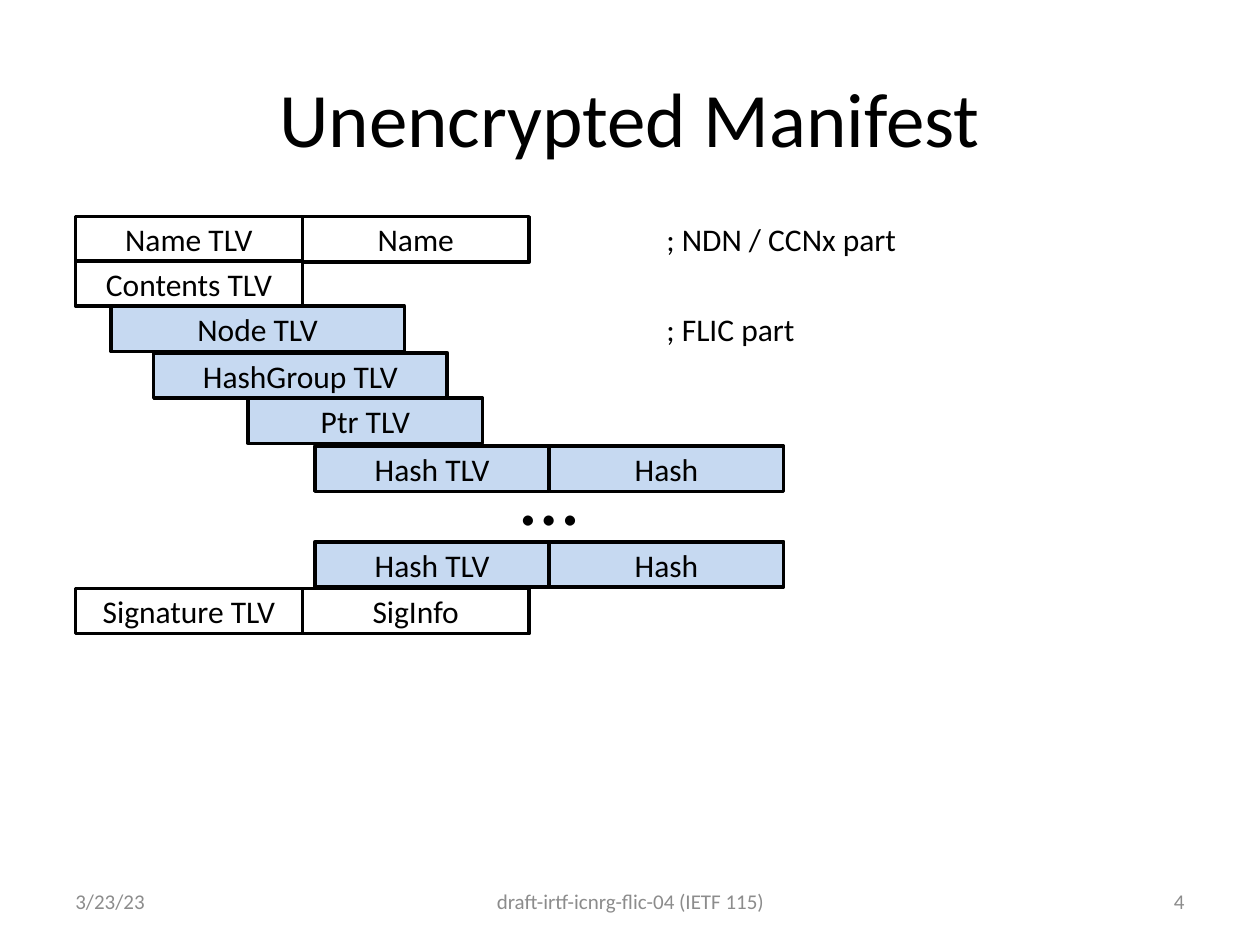
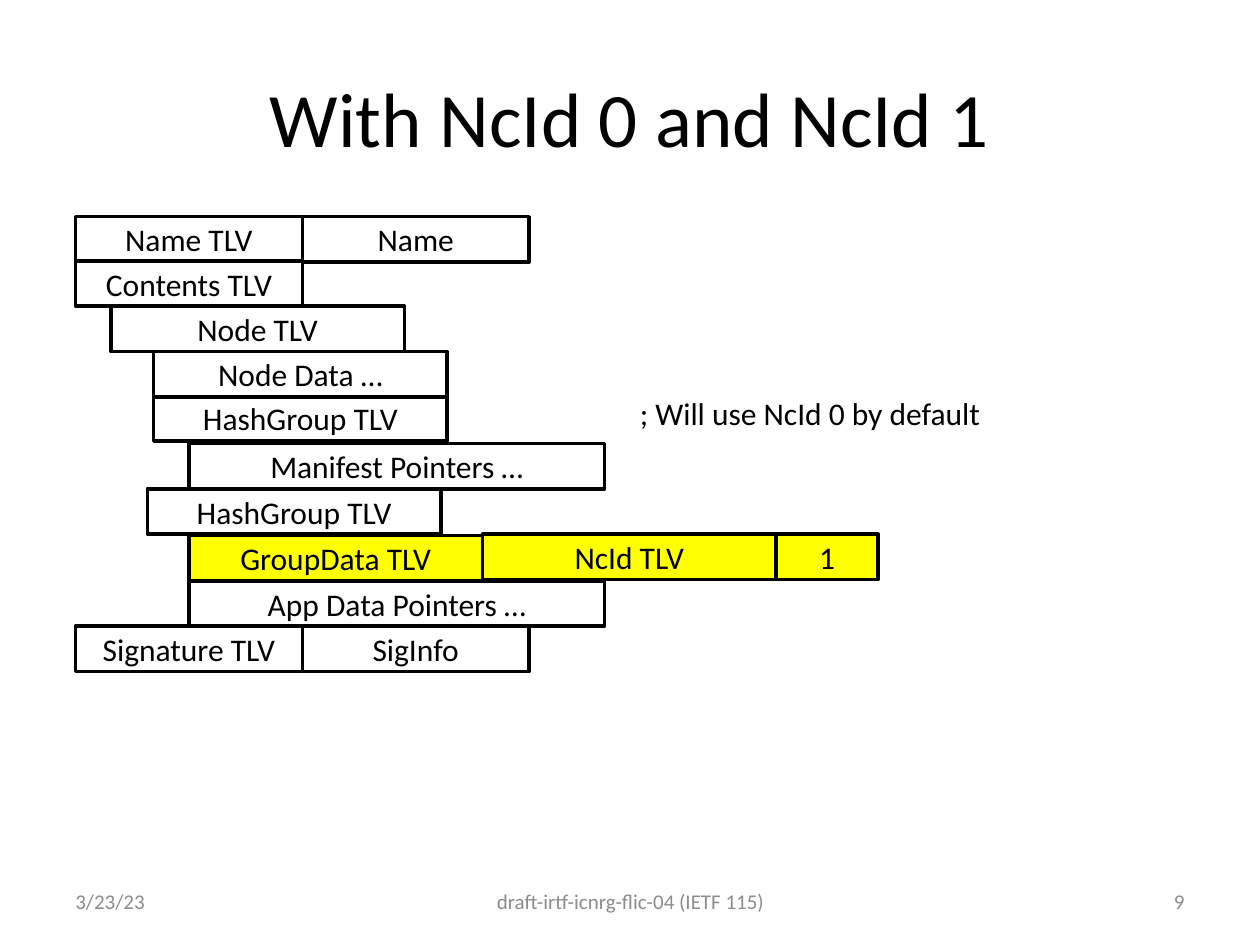
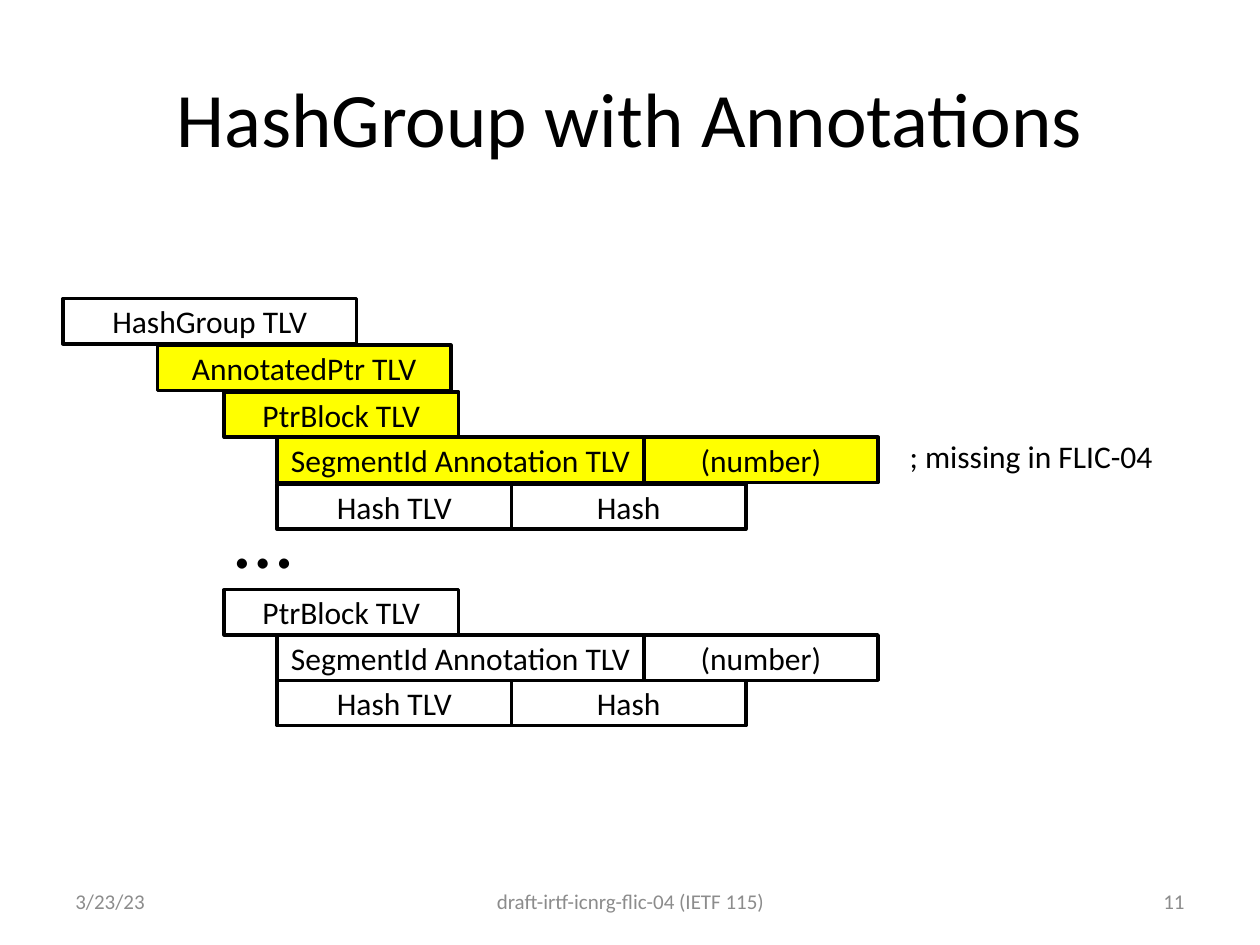
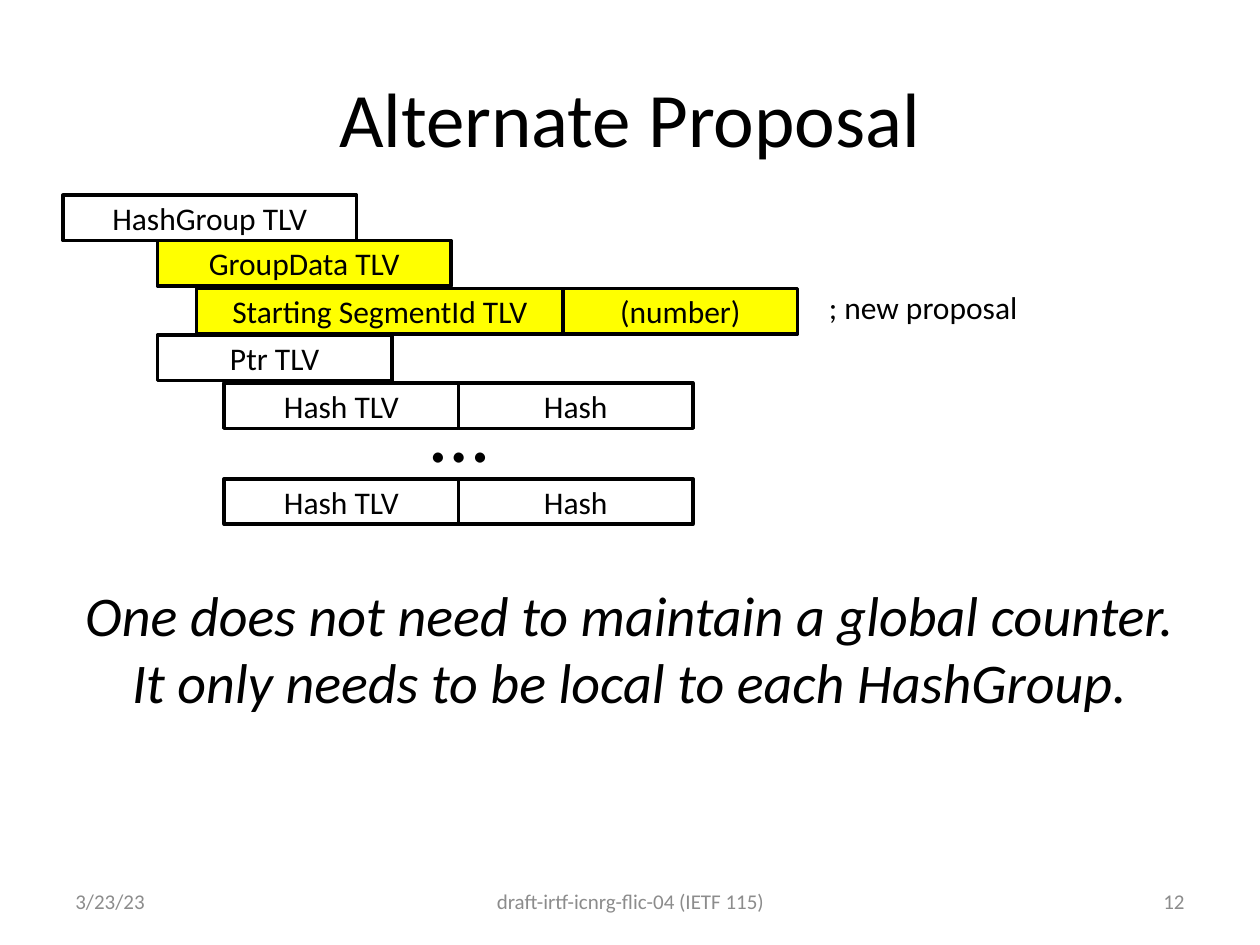
"""Build four slides that show FLIC manifest layouts as nested TLV rows."""
from pptx import Presentation
from pptx import util as u
from pptx.dml import color
from pptx.enum import shapes, text

BLACK, WHITE, GRAY = "000000", "FFFFFF", "8C8C8C"
BLUE, YELLOW = "C6D9F1", "FFFF00"
LEFT, CENTER, RIGHT = text.PP_ALIGN.LEFT, text.PP_ALIGN.CENTER, text.PP_ALIGN.RIGHT
MIDDLE, TOP = text.MSO_ANCHOR.MIDDLE, text.MSO_ANCHOR.TOP
OUTER, SHORT, MEDIUM, LONG, WIDE = 1.8, 1.86, 2.33, 2.91, 3.3
ROW_HEIGHT = 0.36


def rgb(value):
    return color.RGBColor.from_string(value)


def write(box, words, size, align=CENTER, ink=BLACK, anchor=MIDDLE, wrap=True):
    frame = box.text_frame
    frame.word_wrap = wrap
    frame.vertical_anchor = anchor
    para = frame.paragraphs[0]
    para.text = words
    para.alignment = align
    para.font.name = "Calibri"
    para.font.size = u.Pt(size)
    para.font.color.rgb = rgb(ink)
    return para


name_cells = [("Name TLV", OUTER), ("Name", OUTER)]
contents_cells = [("Contents TLV", OUTER)]
signature_cells = [("Signature TLV", OUTER), ("SigInfo", OUTER)]
node_cells = [("Node TLV", MEDIUM)]
group_cells = [("HashGroup TLV", MEDIUM)]
group_data_cells = [("GroupData TLV", MEDIUM)]
pointer_cells = [("Ptr TLV", SHORT)]
hash_cells = [("Hash TLV", SHORT), ("Hash", SHORT)]
block_cells = [("PtrBlock TLV", SHORT)]
segment_cells = [("SegmentId Annotation TLV", LONG), ("(number)", SHORT)]

manifest_head = [(0.6, 1.72, WHITE, name_cells), (0.6, 2.07, WHITE, contents_cells)]

slides = [
    {
        "title": "Unencrypted Manifest",
        "number": "4",
        "rows": manifest_head + [
            (0.6, 4.67, WHITE, signature_cells),
            (0.88, 2.43, BLUE, node_cells),
            (1.22, 2.8, BLUE, group_cells),
            (1.97, 3.16, BLUE, pointer_cells),
            (2.5, 3.54, BLUE, hash_cells),
            (2.5, 4.3, BLUE, hash_cells),
        ],
        "dots": [(3.93, 3.45)],
        "notes": [(5.19, 2.41, 1.23, "; FLIC part"), (5.19, 1.7, 2.05, "; NDN / CCNx part")],
    },
    {
        "title": "With NcId 0 and NcId 1",
        "number": "9",
        "rows": manifest_head + [
            (0.6, 4.97, WHITE, signature_cells),
            (0.88, 2.43, WHITE, node_cells),
            (1.22, 3.14, WHITE, group_cells),
            (1.5, 3.52, WHITE, [("Manifest Pointers …", WIDE)]),
            (1.22, 2.79, WHITE, [("Node Data …", MEDIUM)]),
            (1.17, 3.88, WHITE, group_cells),
            (1.5, 4.61, WHITE, [("App Data Pointers …", WIDE)]),
            (1.5, 4.25, YELLOW, group_data_cells),
            (3.83, 4.24, YELLOW, [("NcId TLV", MEDIUM), ("1", 0.81)]),
        ],
        "dots": [],
        "notes": [(4.98, 3.08, 2.94, "; Will use NcId 0 by default")],
    },
    {
        "title": "HashGroup with Annotations",
        "number": "11",
        "rows": [
            (0.5, 2.37, WHITE, group_cells),
            (1.25, 2.74, YELLOW, [("AnnotatedPtr TLV", MEDIUM)]),
            (1.78, 3.11, YELLOW, block_cells),
            (2.2, 3.47, YELLOW, segment_cells),
            (2.2, 3.84, WHITE, hash_cells),
            (1.78, 4.68, WHITE, block_cells),
            (2.2, 5.04, WHITE, segment_cells),
            (2.2, 5.4, WHITE, hash_cells),
        ],
        "dots": [(1.66, 3.79)],
        "notes": [(7.12, 3.42, 2.15, "; missing in FLIC-04")],
    },
    {
        "title": "Alternate Proposal",
        "number": "12",
        "rows": [
            (0.5, 1.55, WHITE, group_cells),
            (1.25, 1.91, YELLOW, group_data_cells),
            (1.56, 2.29, YELLOW, [("Starting SegmentId TLV", LONG), ("(number)", SHORT)]),
            (1.25, 2.66, WHITE, pointer_cells),
            (1.78, 3.04, WHITE, hash_cells),
            (1.78, 3.8, WHITE, hash_cells),
        ],
        "dots": [(3.21, 2.95)],
        "notes": [(6.48, 2.24, 1.72, "; new proposal")],
    },
]

deck = Presentation()
deck.slide_width, deck.slide_height = u.Inches(10), u.Inches(7.5)

for content in slides:
    page = deck.slides.add_slide(deck.slide_layouts[5])
    title = page.shapes.title
    title.left, title.top = u.Inches(0.5), u.Inches(0.3)
    title.width, title.height = u.Inches(9), u.Inches(1.25)
    write(title, content["title"], 44)

    footers = [
        (0.5, 2.33, LEFT, "3/23/23"),
        (3.42, 3.17, CENTER, "draft-irtf-icnrg-flic-04 (IETF 115)"),
        (7.17, 2.33, RIGHT, content["number"]),
    ]
    for left, width, align, words in footers:
        box = page.shapes.add_textbox(u.Inches(left), u.Inches(6.95), u.Inches(width), u.Inches(0.4))
        write(box, words, 12, align, GRAY)

    for left, top, fill, cells in content["rows"]:
        for words, width in cells:
            cell = page.shapes.add_shape(
                shapes.MSO_SHAPE.RECTANGLE,
                u.Inches(left), u.Inches(top), u.Inches(width), u.Inches(ROW_HEIGHT),
            )
            cell.shadow.inherit = False
            cell.fill.solid()
            cell.fill.fore_color.rgb = rgb(fill)
            cell.line.color.rgb = rgb(BLACK)
            cell.line.width = u.Pt(2)
            write(cell, words, 18)
            left += width

    for left, top in content["dots"]:
        box = page.shapes.add_textbox(u.Inches(left), u.Inches(top), u.Inches(0.87), u.Inches(0.91))
        write(box, "…", 48)

    for left, top, width, words in content["notes"]:
        box = page.shapes.add_textbox(u.Inches(left), u.Inches(top), u.Inches(width), u.Inches(0.4))
        write(box, words, 18, LEFT, anchor=TOP, wrap=False)

summary = page.shapes.add_textbox(u.Inches(0.5), u.Inches(4.56), u.Inches(9), u.Inches(2))
para = write(
    summary,
    "One does not need to maintain a global counter. It only needs to be local to each HashGroup.",
    32,
    anchor=TOP,
)
para.font.italic = True
para.space_before = u.Pt(6.4)

deck.save("out.pptx")
